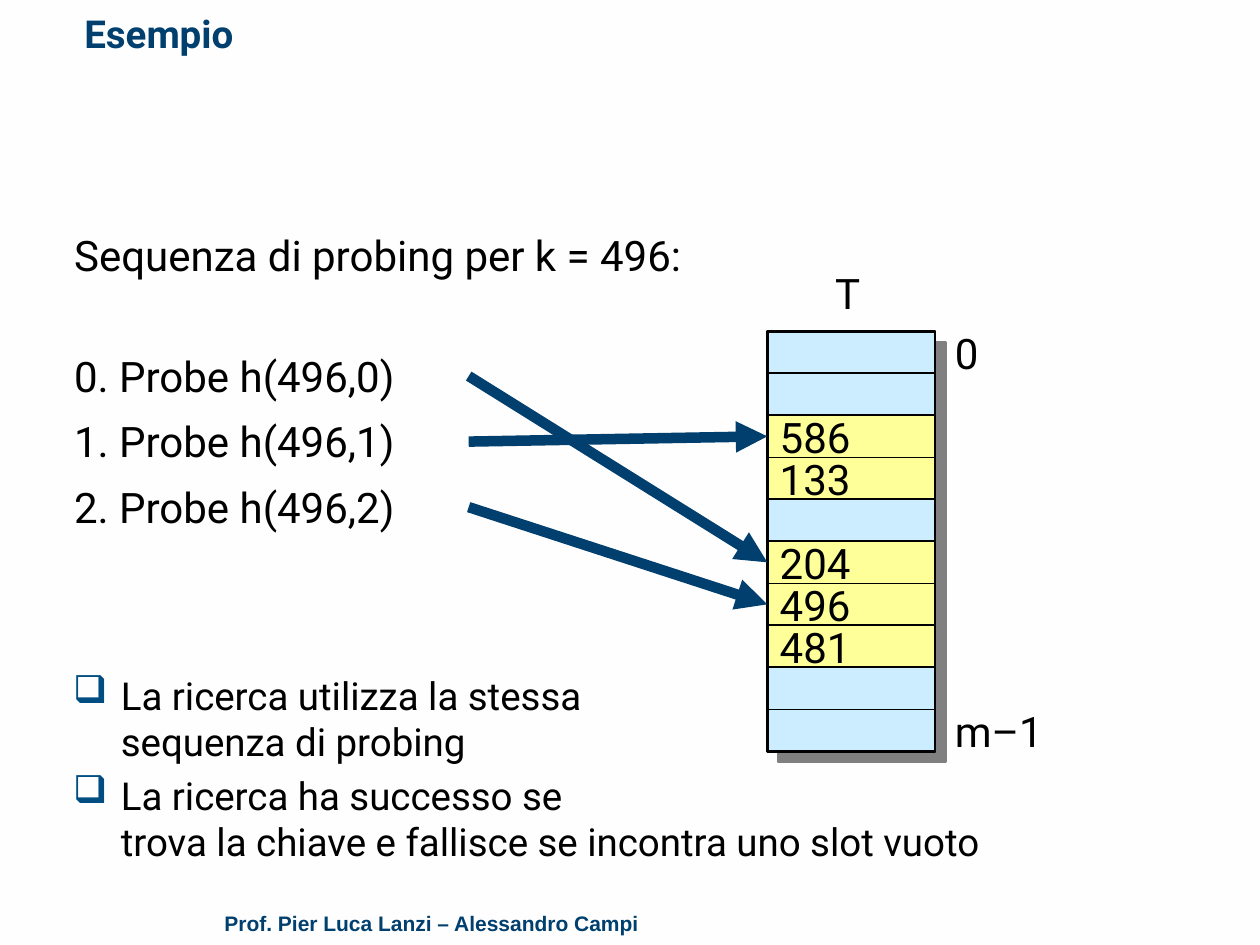
from dataclasses import dataclass

from lxml import etree
from pptx import Presentation
from pptx.dml.color import RGBColor
from pptx.enum.shapes import MSO_CONNECTOR, MSO_SHAPE
from pptx.enum.text import MSO_ANCHOR, PP_ALIGN
from pptx.oxml.ns import qn
from pptx.util import Inches, Pt

RECT = MSO_SHAPE.RECTANGLE
STRAIGHT = MSO_CONNECTOR.STRAIGHT
LEFT, RIGHT = PP_ALIGN.LEFT, PP_ALIGN.RIGHT
TOP, MIDDLE = MSO_ANCHOR.TOP, MSO_ANCHOR.MIDDLE


@dataclass(frozen=True)
class Theme:
    background: str = "FEFEFE"
    accent: str = "003F6E"
    bullet: str = "004D82"
    ink: str = "000000"
    empty: str = "CCECFF"
    full: str = "FFFF99"
    shadow: str = "808080"
    font: str = "Roboto"
    footer_font: str = "Arial"
    label: int = 24
    body: int = 22
    footer: int = 12


THEME = Theme()
LABEL = {"name": THEME.font, "size": Pt(THEME.label), "color": THEME.ink}
BODY = {**LABEL, "size": Pt(THEME.body)}
TITLE = {**BODY, "color": THEME.accent, "bold": True}
FOOTER = {**TITLE, "name": THEME.footer_font, "size": Pt(THEME.footer)}

# Hash table: one column of equal slots
TABLE_X, TABLE_Y, SLOT_W, SLOT_H = 6.09, 2.63, 1.33, 1 / 3
SLOTS = ["", "", "586", "133", "", "204", "496", "481", "", ""]
TABLE_H = SLOT_H * len(SLOTS)

# Probes: one row each, with an arrow to the slot it reaches
LABEL_X, LABEL_H = 0.49, 0.51
PROBE_Y, PROBE_STEP, ARROW_X = 2.73, 0.52, 3.72
PROBE_TARGETS = [5, 2, 6]

NOTES = [
    "La ricerca utilizza la stessa\nsequenza di probing",
    "La ricerca ha successo se\n"
    "trova la chiave e fallisce se incontra uno slot vuoto",
]


def rgb(value):
    return RGBColor.from_string(value)


def sub(parent, tag, **attrs):
    return etree.SubElement(parent, qn(tag), attrs)


def write(p, text, style, align=LEFT):
    p.text = text
    p.alignment = align
    for r in p.runs:
        for key, value in style.items():
            if key == "color":
                r.font.color.rgb = rgb(value)
            else:
                setattr(r.font, key, value)


def add_box(s, x, y, w, h, wrap=True, inset=True):
    """Return the text frame of a new text box."""
    tf = s.shapes.add_textbox(*map(Inches, (x, y, w, h))).text_frame
    tf.word_wrap = wrap
    tf.vertical_anchor = TOP
    if not inset:
        for side in ("left", "top", "right", "bottom"):
            setattr(tf, f"margin_{side}", 0)
    return tf


def add_label(s, text, x, y, w):
    tf = add_box(s, x, y, w, LABEL_H, wrap=False)
    write(tf.paragraphs[0], text, LABEL)


def add_bullet(p):
    pPr = p._p.get_or_add_pPr()
    indent = Inches(0.38)
    pPr.set("marL", str(indent))
    pPr.set("indent", str(-indent))
    sub(sub(pPr, "a:buClr"), "a:srgbClr", val=THEME.bullet)
    sub(pPr, "a:buChar", char="❑")


def add_notes(s):
    tf = add_box(s, 0.58, 5.33, 9, 1.75, inset=False)
    for i, note in enumerate(NOTES):
        p = tf.add_paragraph() if i else tf.paragraphs[0]
        add_bullet(p)
        if i:
            p.space_before = Pt(0.2 * THEME.body)
        write(p, note, BODY)


def add_rect(s, y, h, fill=None, weight=1):
    sp = s.shapes.add_shape(RECT, *map(Inches, (TABLE_X, y, SLOT_W, h)))
    sp.shadow.inherit = False
    if fill:
        sp.fill.solid()
        sp.fill.fore_color.rgb = rgb(fill)
    else:
        sp.fill.background()
    sp.line.color.rgb = rgb(THEME.ink)
    sp.line.width = Pt(weight)
    return sp


def add_shadow(sp):
    effects = sp._element.spPr.find(qn("a:effectLst"))
    shadow = sub(effects, "a:outerShdw", dist=str(Pt(8.5)), dir=str(45 * 60000),
                 algn="ctr", rotWithShape="0")
    sub(shadow, "a:srgbClr", val=THEME.shadow)


def add_hash_table(s):
    add_shadow(add_rect(s, TABLE_Y, TABLE_H, THEME.empty, 1.5))
    for i, key in enumerate(SLOTS):
        sp = add_rect(s, TABLE_Y + i * SLOT_H, SLOT_H,
                      THEME.full if key else THEME.empty)
        if key:
            sp.text_frame.vertical_anchor = MIDDLE
            write(sp.text_frame.paragraphs[0], key, LABEL)
    add_rect(s, TABLE_Y, TABLE_H, weight=1.5)
    add_label(s, "T", 6.53, 2.07, 0.41)
    for text, row, w in (("0", 0, 0.42), ("m–1", len(SLOTS) - 1, 0.96)):
        add_label(s, text, 7.48, TABLE_Y - 0.08 + row * SLOT_H, w)


def add_arrow(s, y, slot):
    end_y = TABLE_Y + (slot + 0.5) * SLOT_H
    line = s.shapes.add_connector(
        STRAIGHT, *map(Inches, (ARROW_X, y, TABLE_X, end_y)))
    line.line.color.rgb = rgb(THEME.accent)
    line.line.width = Pt(6)
    sub(line.line._get_or_add_ln(), "a:tailEnd", type="triangle")
    sub(line._element.spPr, "a:effectLst")


def add_probes(s):
    add_label(s, "Sequenza di probing per k = 496:", LABEL_X, 1.77, 6.1)
    for i, slot in enumerate(PROBE_TARGETS):
        y = PROBE_Y + i * PROBE_STEP
        add_label(s, f"{i}. Probe h(496,{i})", LABEL_X, y, 3.24)
        add_arrow(s, y + LABEL_H / 2, slot)


def main():
    prs = Presentation()
    prs.slide_width, prs.slide_height = Inches(10), Inches(7.5)
    s = prs.slides.add_slide(prs.slide_layouts[6])
    s.background.fill.solid()
    s.background.fill.fore_color.rgb = rgb(THEME.background)

    footer = add_box(s, 0.25, 7.18, 4.92, 0.3)
    write(footer.paragraphs[0], "Prof. Pier Luca Lanzi – Alessandro Campi",
          FOOTER, RIGHT)
    title = add_box(s, 0.67, 0.08, 6.5, 0.92, inset=False)
    write(title.paragraphs[0], "Esempio", TITLE)
    add_notes(s)
    add_hash_table(s)
    add_probes(s)
    prs.save("out.pptx")


if __name__ == "__main__":
    main()
